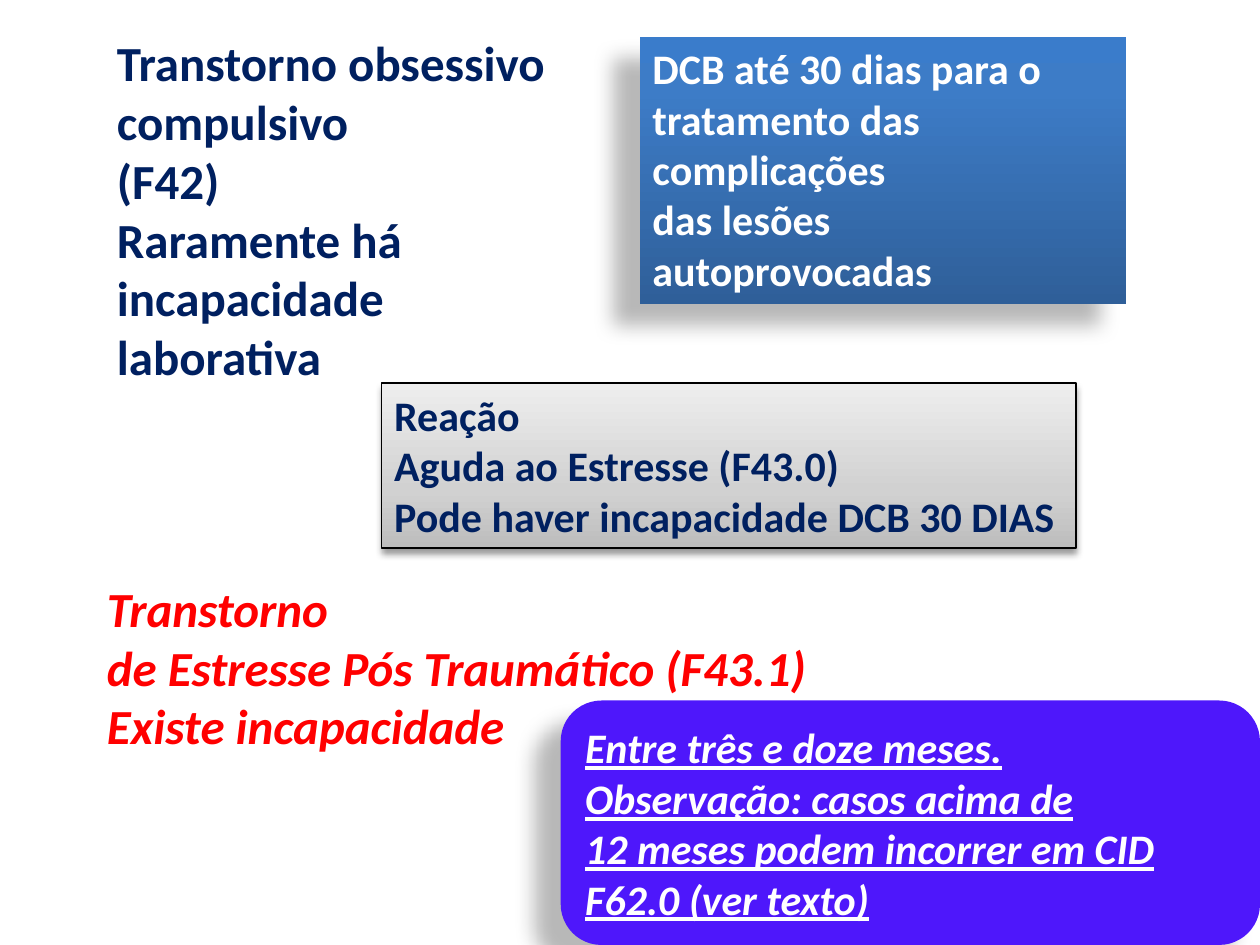
import pptx
import pptx.util
import pptx.oxml
import pptx.oxml.ns
import pptx.dml.color
import pptx.enum.shapes
import pptx.enum.text

Inches = pptx.util.Inches
Pt = pptx.util.Pt
Kind = pptx.enum.shapes.MSO_SHAPE
Fit = pptx.enum.text.MSO_AUTO_SIZE
Anchor = pptx.enum.text.MSO_ANCHOR
Align = pptx.enum.text.PP_ALIGN

COLORS = {"navy": "002060", "red": "FF0000", "white": "FFFFFF",
          "black": "000000", "violet": "4E17FB"}
BLUE = [(0, "2F5F99"), (80, "3D7CC7"), (100, "3A7CCB")]
GRAY = [(0, "BDBDBD"), (35, "D1D1D1"), (100, "EEEEEE")]
DEEP = (28, 11.8, 19.7, 141)
SOFT = (40, 4, 3, 90)


class Page:
    """Holds the style and the current slide."""

    def __init__(self, deck, font="Calibri"):
        self.slide = deck.slides.add_slide(deck.slide_layouts[6])
        self.font = font

    def color(self, name):
        return pptx.dml.color.RGBColor.from_string(COLORS[name])

    def label(self, shape, lines, size, color, italic=False, under=False, fit=True):
        frame = shape.text_frame
        frame.word_wrap = True
        frame.auto_size = Fit.SHAPE_TO_FIT_TEXT if fit else Fit.NONE
        frame.vertical_anchor = Anchor.TOP if fit else Anchor.MIDDLE
        frame.text = "\n".join(lines)
        for para in frame.paragraphs:
            para.alignment = Align.LEFT
            for run in para.runs:
                font = run.font
                font.name, font.size, font.bold = self.font, Pt(size), True
                font.italic, font.underline = italic, under
                font.color.rgb = self.color(color)

    def text(self, box, lines, color, **style):
        shape = self.slide.shapes.add_textbox(*map(Inches, box))
        self.label(shape, lines, 28, color, **style)

    def card(self, box, lines, color, fill, shadow, kind=Kind.RECTANGLE,
             line=None, **style):
        shape = self.slide.shapes.add_shape(kind, *map(Inches, box))
        if isinstance(fill, str):
            shape.fill.solid()
            shape.fill.fore_color.rgb = self.color(fill)
        else:
            self.blend(shape, fill)
        if line:
            shape.line.color.rgb = self.color(line)
            shape.line.width = Pt(0.75)
        else:
            shape.line.fill.background()
        self.shade(shape, *shadow)
        self.label(shape, lines, 24, color, **style)

    def blend(self, shape, stops):
        shape.fill.gradient()
        shape.fill.gradient_angle = 90
        bands = shape._element.spPr.find(".//" + pptx.oxml.ns.qn("a:gsLst"))
        for band in list(bands):
            bands.remove(band)
        for pos, tint in stops:
            bands.append(pptx.oxml.parse_xml(
                f'<a:gs {pptx.oxml.ns.nsdecls("a")} pos="{pos * 1000}">'
                f'<a:srgbClr val="{tint}"/></a:gs>'))

    def shade(self, shape, alpha, blur, dist, angle):
        shape.shadow.inherit = False
        effects = shape._element.spPr.find(pptx.oxml.ns.qn("a:effectLst"))
        effects.append(pptx.oxml.parse_xml(
            f'<a:outerShdw {pptx.oxml.ns.nsdecls("a")} blurRad="{Pt(blur)}" '
            f'dist="{Pt(dist)}" dir="{angle * 60000}" rotWithShape="0">'
            f'<a:srgbClr val="{COLORS["black"]}"><a:alpha val="{alpha * 1000}"/>'
            '</a:srgbClr></a:outerShdw>'))


def main():
    deck = pptx.Presentation()
    deck.slide_width, deck.slide_height = Inches(10), Inches(7.5)
    page = Page(deck)
    page.text((0.83, 0.21, 3.86, 2.93),
              ["Transtorno obsessivo", "compulsivo", "(F42)",
               "Raramente há", "incapacidade", "laborativa"], "navy")
    page.card((5.08, 0.29, 3.86, 2.12),
              ["DCB até 30 dias para o tratamento das complicações",
               "das lesões autoprovocadas"], "white", BLUE, DEEP)
    page.text((0.75, 4.54, 5.98, 1.51),
              ["Transtorno", "de Estresse Pós Traumático (F43.1)",
               "Existe incapacidade"], "red", italic=True)
    page.card((3.03, 3.04, 5.51, 1.31),
              ["Reação", "Aguda ao Estresse (F43.0)",
               "Pode haver incapacidade DCB 30 DIAS"],
              "navy", GRAY, SOFT, line="black")
    page.card((4.45, 5.56, 5.55, 1.94),
              ["Entre três e doze meses.", "Observação: casos acima de",
               "12 meses podem incorrer em CID F62.0 (ver texto)"],
              "white", "violet", DEEP, kind=Kind.ROUNDED_RECTANGLE,
              italic=True, under=True, fit=False)
    deck.save("out.pptx")


if __name__ == "__main__":
    main()
